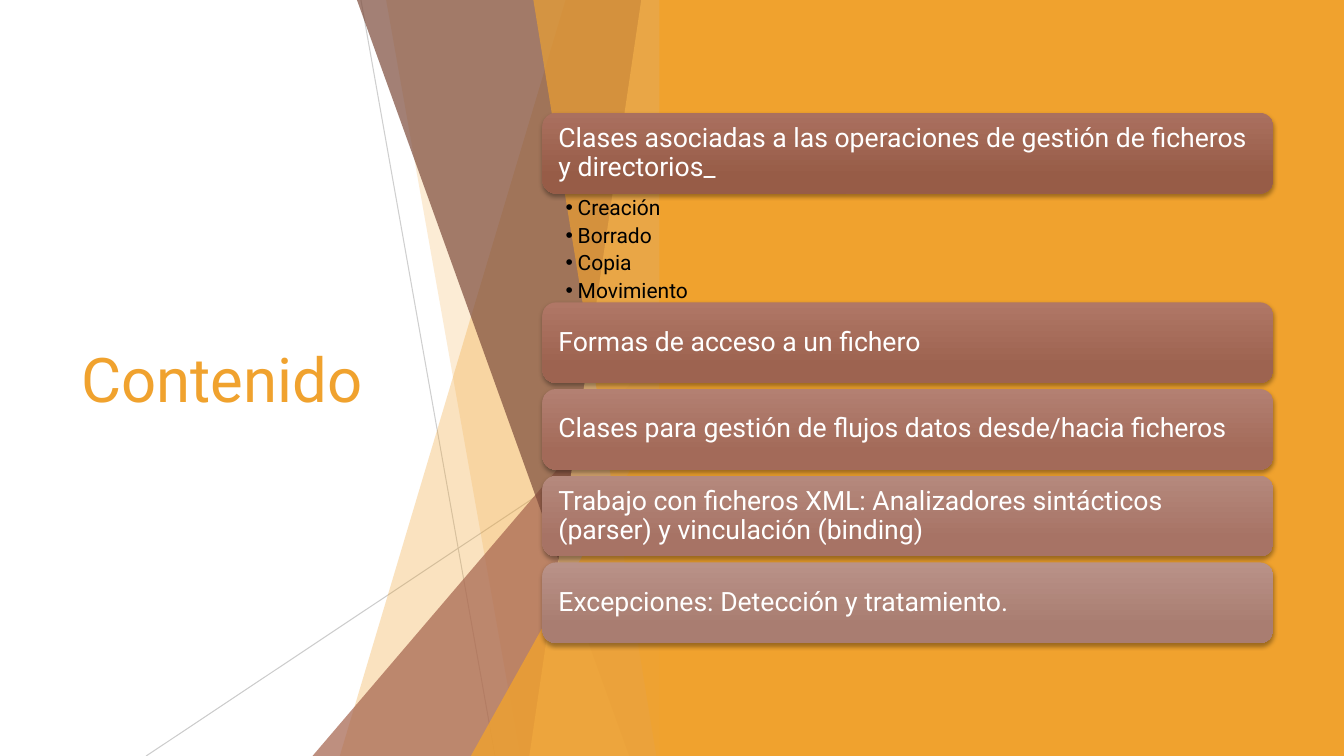
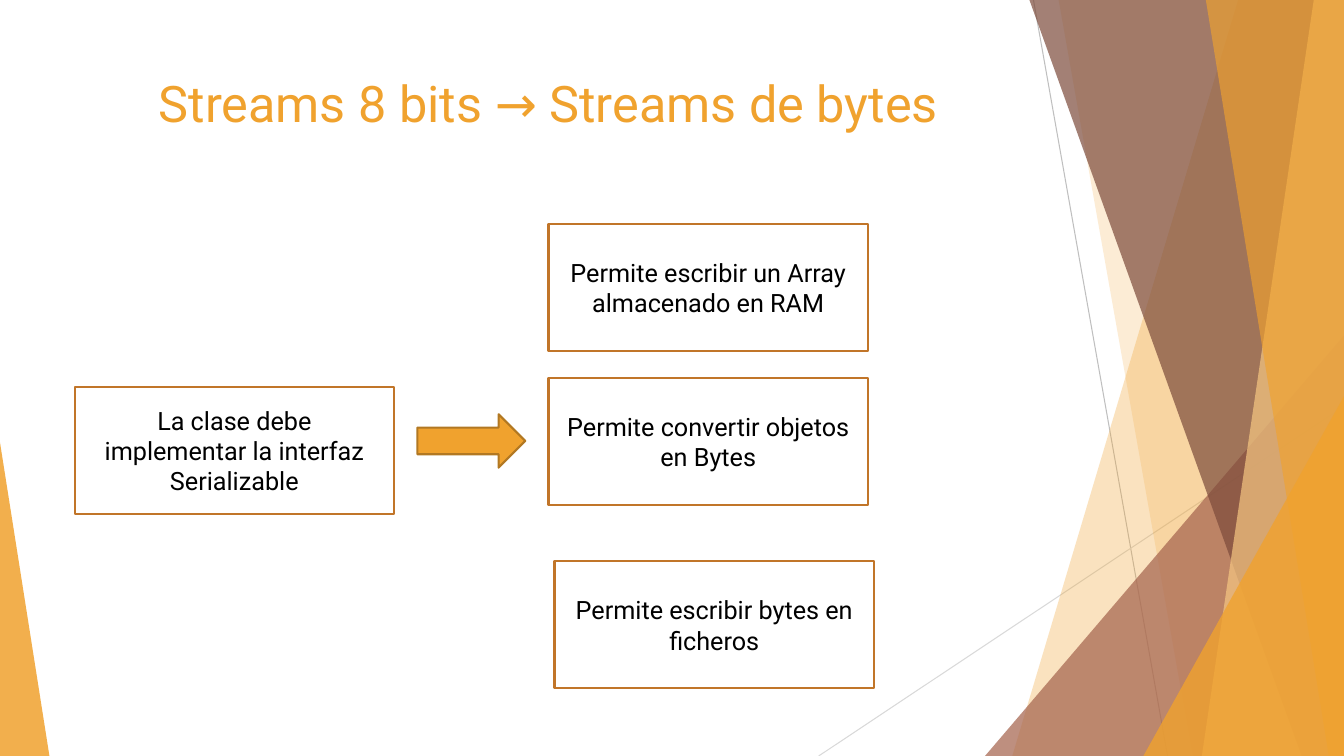
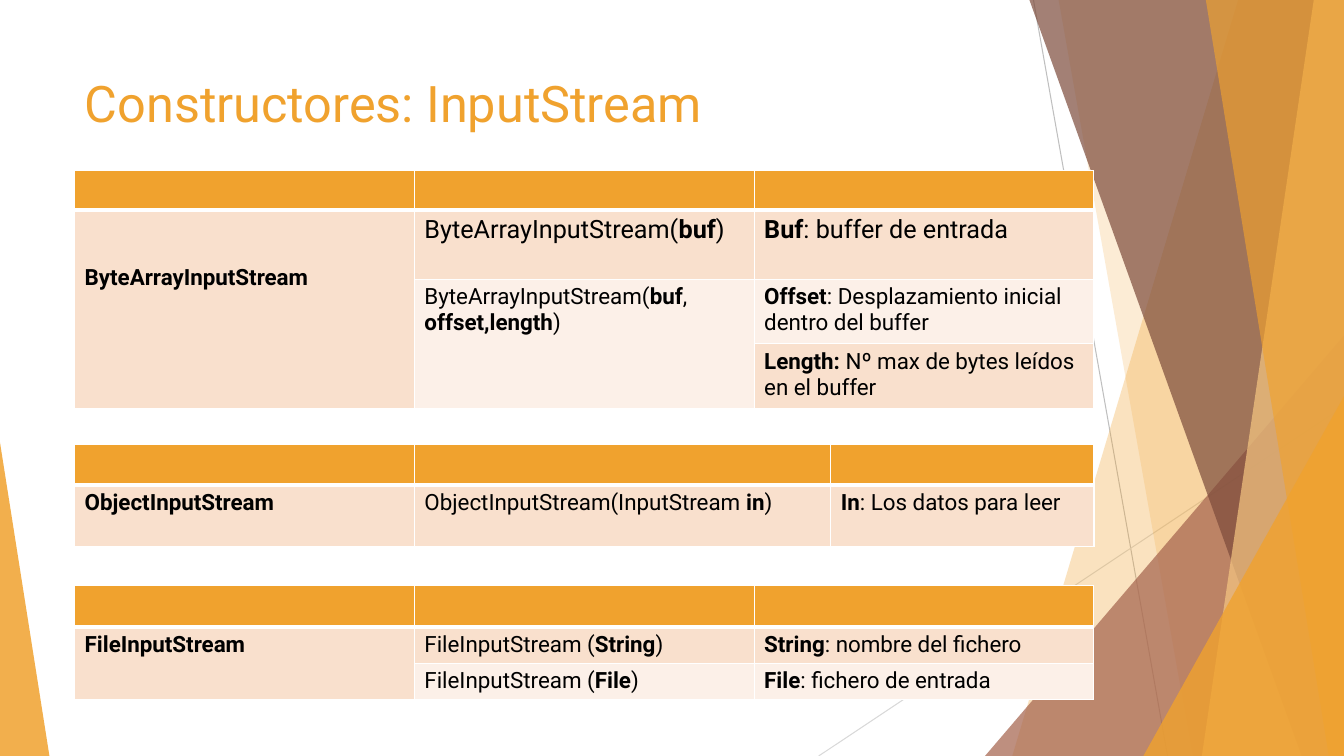
from lxml import etree
from pptx import Presentation
from pptx.dml.color import RGBColor
from pptx.enum.shapes import MSO_CONNECTOR, MSO_SHAPE
from pptx.enum.text import MSO_ANCHOR, MSO_AUTO_SIZE, PP_ALIGN
from pptx.oxml.ns import qn
from pptx.util import Inches, Pt

RECT, ROUND = MSO_SHAPE.RECTANGLE, MSO_SHAPE.ROUNDED_RECTANGLE
TRI, ARROW = MSO_SHAPE.ISOSCELES_TRIANGLE, MSO_SHAPE.RIGHT_ARROW
LEFT, CENTER = PP_ALIGN.LEFT, PP_ALIGN.CENTER
TOP, MIDDLE = MSO_ANCHOR.TOP, MSO_ANCHOR.MIDDLE
STRAIGHT, NO_FIT = MSO_CONNECTOR.STRAIGHT, MSO_AUTO_SIZE.NONE
WIDE, HIGH = 13.33, 7.5


class Theme:
    font = "Roboto"
    gold, sand, rust, brown = "F0A22E", "F6C782", "A5644E", "7C4B3B"
    edge, rim = "C17529", "B27822"
    peach, pale = "F9E0CD", "FCF0E8"
    white, black = "FFFFFF", "000000"
    hero, title, card, body, cell, item = 44, 36, 19, 18, 16, 15


# Panes from back to front: kind, colour, opacity, then
# "band": left x at the top and at the bottom; "peak": left and top
PANES = [
    ("band", Theme.gold, 30, 12.28, 10.04),
    ("band", Theme.gold, 20, 10.5, 11.83),
    ("peak", Theme.rust, 72, 9.77, 3.33),
    ("band", Theme.brown, 70, 10.21, 12.91),
    ("band", Theme.sand, 70, 13.03, 11.92),
    ("band", Theme.gold, 65, 11.96, 13.18),
    ("peak", Theme.gold, 80, 11.34, 3.93),
]


def rgb(code):
    return RGBColor.from_string(code)


def inch(*sizes):
    return [Inches(size) for size in sizes]


def add(parent, tag, **attrs):
    return etree.SubElement(parent, qn(tag), attrs)


def paint(shape, fill, alpha=100, line=None):
    shape.shadow.inherit = False
    shape.fill.solid()
    shape.fill.fore_color.rgb = rgb(fill)
    if alpha < 100:
        tint = shape.element.spPr.find(".//" + qn("a:srgbClr"))
        add(tint, "a:alpha", val=str(alpha * 1000))
    if line:
        shape.line.color.rgb = rgb(line)
        shape.line.width = Pt(1.5)
    else:
        shape.line.fill.background()


def style(para, size, color, align=LEFT):
    para.alignment = align
    para.font.name = Theme.font
    para.font.size = Pt(size)
    para.font.color.rgb = rgb(color)


def head(slide, text, box, size=Theme.title, align=LEFT, anchor=TOP):
    title = slide.shapes.title
    title.left, title.top, title.width, title.height = inch(*box)
    frame = title.text_frame
    frame.text = text
    frame.auto_size, frame.vertical_anchor = NO_FIT, anchor
    style(frame.paragraphs[0], size, Theme.gold, align)


# Shared facet artwork, shifted sideways by dx
def facets(slide, dx, tones):
    group = slide.shapes.add_group_shape()
    right = WIDE + dx
    rays = [(10.25, 0, 11.58, HIGH), (WIDE, 4.03, 8.12, HIGH)]
    for (x1, y1, x2, y2), tone in zip(rays, tones):
        ray = group.shapes.add_connector(
            STRAIGHT, *inch(x1 + dx, y1, x2 + dx, y2))
        ray.line.color.rgb = rgb(tone)
        ray.line.width = Pt(0.75)
        add(ray.element.spPr, "a:effectLst")
    for kind, color, alpha, a, b in PANES:
        if kind == "band":
            form = group.shapes.build_freeform(*inch(a + dx, 0))
            form.add_line_segments(
                [inch(right, 0), inch(right, HIGH), inch(b + dx, HIGH)])
            pane = form.convert_to_shape()
        else:
            pane = group.shapes.add_shape(
                TRI, *inch(a + dx, b, WIDE - a, HIGH - b))
            pane.adjustments[0] = 1
        paint(pane, color, alpha)
    return group


# Puts the facets and the corner wedge on a layout, drawn first on a slide
def dress(slide, layout):
    group = facets(slide, 0, ("BFBFBF", "D9D9D9"))
    wedge = group.shapes.add_shape(TRI, *inch(0, 4.39, 0.49, 3.11))
    wedge.adjustments[0] = 0
    paint(wedge, Theme.gold, 85)
    for num, node in enumerate(group.element.iter(qn("p:cNvPr")), 100):
        node.set("id", str(num))
    layout.shapes.element.insert(2, group.element)


def card(slide, text, box, light, dark):
    shape = slide.shapes.add_shape(ROUND, *inch(*box))
    paint(shape, dark)
    shape.fill.gradient()
    shape.fill.gradient_angle = 270
    stops = shape.fill.gradient_stops
    for stop, code, spot in zip(stops, (light, dark), (0, 0.78)):
        stop.color.rgb = rgb(code)
        stop.position = spot
    glow = add(shape.element.spPr.find(qn("a:effectLst")), "a:outerShdw",
               blurRad=str(Pt(3)), dist=str(Pt(2)), dir="5400000",
               algn="ctr", rotWithShape="0")
    add(add(glow, "a:srgbClr", val=Theme.black), "a:alpha", val="35000")
    frame = shape.text_frame
    frame.text = text
    frame.word_wrap, frame.vertical_anchor = True, MIDDLE
    frame.margin_left = frame.margin_right = Inches(0.12)
    style(frame.paragraphs[0], Theme.card, Theme.white)
    frame.paragraphs[0].line_spacing = 0.9


def bullets(body, items, box):
    body.left, body.top, body.width, body.height = inch(*box)
    frame = body.text_frame
    frame.text = "\n".join(items)
    frame.auto_size, frame.vertical_anchor = NO_FIT, TOP
    frame.margin_left, frame.margin_right = inch(0.23, 0.15)
    frame.margin_top = frame.margin_bottom = Inches(0.03)
    for para in frame.paragraphs:
        style(para, Theme.item, Theme.black)
        para.line_spacing = 0.9
        para.space_before, para.space_after = Pt(0), Pt(3.5)
        props = para._p.get_or_add_pPr()
        props.set("marL", str(Inches(0.12)))
        props.set("indent", str(Inches(-0.12)))


def label(slide, text, x, y):
    shape = slide.shapes.add_shape(RECT, *inch(x, y, 3.17, 1.26))
    paint(shape, Theme.white, line=Theme.edge)
    frame = shape.text_frame
    frame.text = text
    frame.word_wrap, frame.vertical_anchor = True, MIDDLE
    style(frame.paragraphs[0], Theme.body, Theme.black, CENTER)


def border(cell, row):
    props = cell._tc.get_or_add_tcPr()
    widths = {"L": 1, "R": 1, "T": 3 if row == 1 else 1,
              "B": 3 if row == 0 else 1}
    for spot, (side, width) in enumerate(widths.items()):
        line = etree.Element(qn("a:ln" + side), w=str(Pt(width)))
        add(add(line, "a:solidFill"), "a:srgbClr", val=Theme.white)
        props.insert(spot, line)


# Text between asterisks is bold
def write(cell, text, size):
    para = cell.text_frame.paragraphs[0]
    style(para, size, Theme.black)
    for num, part in enumerate(text.split("*")):
        if part:
            run = para.add_run()
            run.text = part
            run.font.bold = num % 2 == 1


# A table with an empty header row, then banded rows
def grid(slide, x, y, cols, highs, rows, spans=(), big=()):
    frame = slide.shapes.add_table(
        len(highs), len(cols), *inch(x, y, sum(cols), sum(highs)))
    table = frame.table
    for col, width in zip(table.columns, cols):
        col.width = Inches(width)
    for row, high in zip(table.rows, highs):
        row.height = Inches(high)
    for r, texts in enumerate([[""] * len(cols)] + rows):
        for c, text in enumerate(texts):
            cell = table.cell(r, c)
            cell.fill.solid()
            band = Theme.peach if r % 2 else Theme.pale
            cell.fill.fore_color.rgb = rgb(band if r else Theme.gold)
            border(cell, r)
            if r == 0:
                cell.margin_top = cell.margin_bottom = 0
            write(cell, text, Theme.body if (r, c) in big else Theme.cell)
    for r1, r2, c in spans:
        table.cell(r1, c).merge(table.cell(r2, c))
    return table


def agenda(deck):
    slide = deck.slides.add_slide(deck.slide_layouts[1])
    head(slide, "Contenido", (0.71, 1.51, 3.88, 4.48), Theme.hero,
         anchor=MIDDLE)
    # Artwork goes behind the placeholders
    panel = slide.shapes.add_shape(RECT, *inch(6.54, 0, WIDE - 6.54, HIGH))
    paint(panel, Theme.gold)
    art = facets(slide, -6.67, ("CFCFCF", "CCCCCC"))
    for shape in (panel, art):
        slide.shapes.element.insert(2, shape.element)
    # Cards, with the list below the first
    x, wide, high = 5.38, 7.25, 0.8
    topics = [
        ("Clases asociadas a las operaciones de gestión de ficheros "
         "y directorios_", "AA705F", "975C47"),
        ("Formas de acceso a un fichero", "B07766", "9D6350"),
        ("Clases para gestión de flujos datos desde/hacia ficheros",
         "B38072", "A36A59"),
        ("Trabajo con ficheros XML: Analizadores sintácticos (parser) "
         "y vinculación (binding)", "B5897D", "A77365"),
        ("Excepciones: Detección y tratamiento.", "B99288", "A97D71"),
    ]
    for num, (text, light, dark) in enumerate(topics):
        y = 3 + 0.86 * (num - 1) if num else 1.12
        card(slide, text, (x, y, wide, high), light, dark)
    bullets(slide.placeholders[1],
            ["Creación", "Borrado", "Copia", "Movimiento"],
            (x, 1.93, wide, 1.08))


def streams(deck, layout):
    slide = deck.slides.add_slide(layout)
    dress(slide, layout)
    head(slide, "Streams 8 bits → Streams de bytes", (0.74, 0.67, 9.4, 1.06),
         align=CENTER)
    for text, x, y in [
        ("La clase debe implementar la interfaz Serializable", 0.74, 3.84),
        ("Permite escribir un Array almacenado en RAM", 5.44, 2.22),
        ("Permite convertir objetos en Bytes", 5.44, 3.75),
        ("Permite escribir bytes en ficheros", 5.5, 5.57),
    ]:
        label(slide, text, x, y)
    arrow = slide.shapes.add_shape(ARROW, *inch(4.14, 4.11, 1.07, 0.53))
    paint(arrow, Theme.gold, line=Theme.rim)


def builders(deck, layout):
    slide = deck.slides.add_slide(layout)
    x, thirds = 0.74, [3.37] * 3
    head(slide, "Constructores: InputStream", (x, 0.67, 9.4, 1.02))
    table = grid(slide, x, 1.69, thirds, [0.39, 0.69, 0.64, 0.64], [
        ["*ByteArrayInputStream*", "ByteArrayInputStream(*buf*)",
         "*Buf*: buffer de entrada"],
        ["", "ByteArrayInputStream(*buf*, *offset,length*)",
         "*Offset*: Desplazamiento inicial dentro del buffer"],
        ["", "", "*Length:* Nº max de bytes leídos en el buffer"],
    ], spans=[(1, 3, 0), (2, 3, 1)], big=[(1, 1), (1, 2)])
    table.cell(1, 0).margin_top = Inches(0.55)
    grid(slide, x, 4.41, [3.37, 4.13, 2.61], [0.4, 0.61], [
        ["*ObjectInputStream*", "ObjectInputStream(InputStream *in*)",
         "*In*: Los datos para leer"],
    ])
    grid(slide, x, 5.81, thirds, [0.41, 0.36, 0.36], [
        ["*FileInputStream*", "FileInputStream (*String*)",
         "*String*: nombre del fichero"],
        ["", "FileInputStream (*File*)", "*File*: fichero de entrada"],
    ], spans=[(1, 2, 0)])


def main():
    deck = Presentation()
    deck.slide_width, deck.slide_height = inch(WIDE, HIGH)
    plain = deck.slide_layouts[5]
    agenda(deck)
    streams(deck, plain)
    builders(deck, plain)
    deck.save("out.pptx")


if __name__ == "__main__":
    main()
